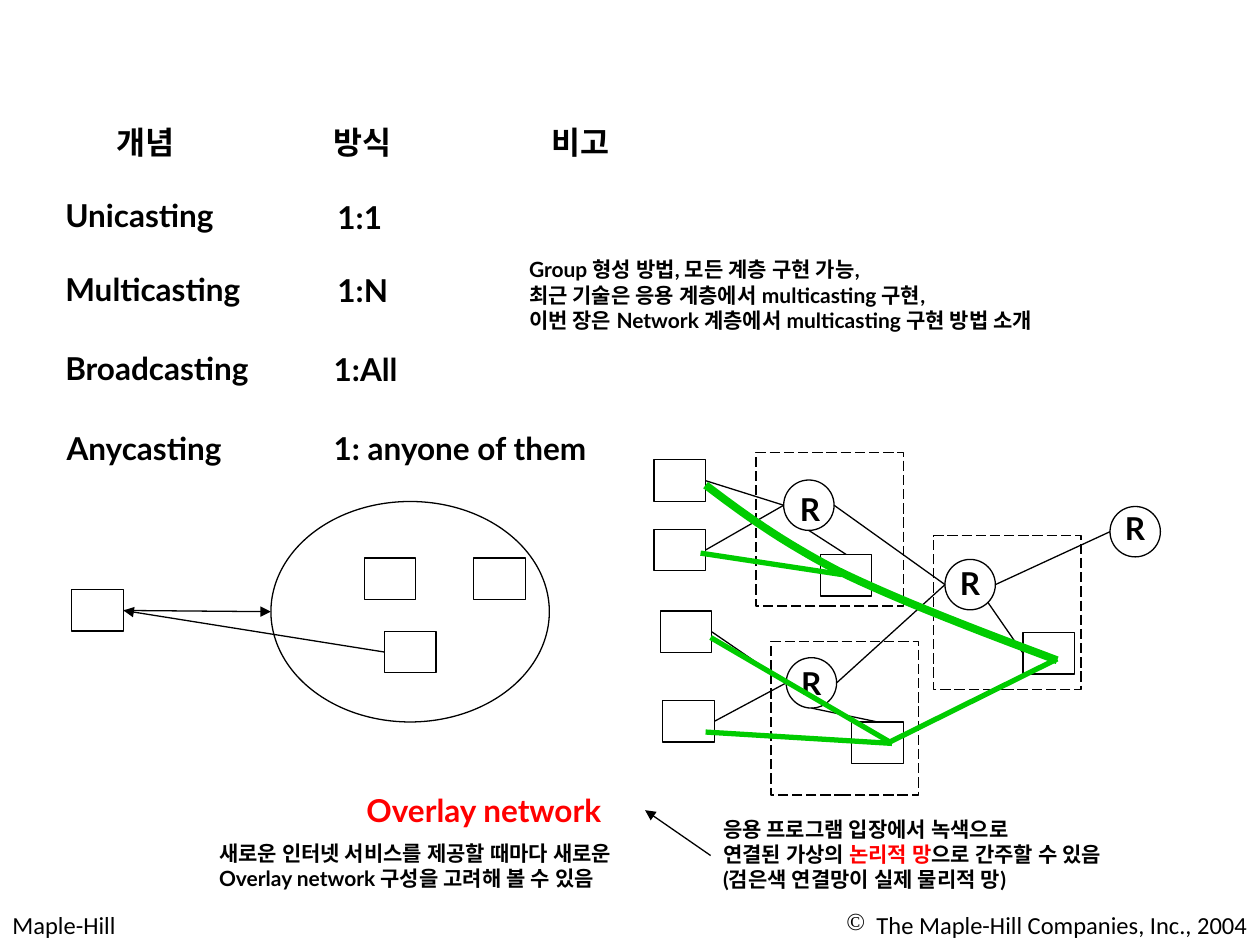
from lxml import etree
from pptx import Presentation
from pptx.dml.color import RGBColor
from pptx.enum.dml import MSO_LINE
from pptx.enum.shapes import MSO_CONNECTOR, MSO_SHAPE
from pptx.enum.text import MSO_AUTO_SIZE, PP_ALIGN
from pptx.oxml.ns import qn
from pptx.util import Cm, Pt

RECTANGLE, OVAL = MSO_SHAPE.RECTANGLE, MSO_SHAPE.OVAL
STRAIGHT, DASH = MSO_CONNECTOR.STRAIGHT, MSO_LINE.LONG_DASH
FIT = MSO_AUTO_SIZE.SHAPE_TO_FIT_TEXT
RIGHT = PP_ALIGN.RIGHT
COLORS = {"black": "000000", "red": "FF0000", "green": "00CC00"}
BODY_FONT, FOOTER_FONT = "Lato", "Calibri"
CM_PER_INCH = 2.54  # positions below are in inches

# Headings and table-like terms: text, left, top, width
TERMS = [
    ("개념", 0.83, 0.93, 0.71), ("방식", 2.55, 0.93, 0.71), ("비고", 4.28, 0.93, 0.71),
    ("Unicasting", 0.42, 1.51, 1.54), ("1:1", 2.58, 1.52, 0.62),
    ("Multicasting", 0.42, 2.09, 1.76), ("1:N", 2.58, 2.1, 0.65),
    ("Broadcasting", 0.42, 2.72, 1.87), ("1:All", 2.55, 2.73, 0.78),
    ("Anycasting", 0.43, 3.36, 1.6), ("1: anyone of them", 2.55, 3.36, 2.51),
]
ROUTER_LABELS = [("R", 6.25, 3.84, 0.39), ("R", 6.26, 5.22, 0.39),
                 ("R", 7.52, 4.43, 0.39), ("R", 8.83, 3.99, 0.39)]

# Notes: place, then lines made of (text, color) runs
NOTES = [
    ((4.1, 1.99, 4.68, 0.71), [
        [("Group 형성 방법, 모든 계층 구현 가능,", "black")],
        [("최근 기술은 응용 계층에서 multicasting 구현,", "black")],
        [("이번 장은 Network 계층에서 multicasting 구현 방법 소개", "black")]]),
    ((5.64, 6.43, 3.53, 0.71), [
        [("응용 프로그램 입장에서 녹색으로", "black")],
        [("연결된 가상의 ", "black"), ("논리적 망", "red"), ("으로 간주할 수 있음", "black")],
        [("(검은색 연결망이 실제 물리적 망)", "black")]]),
    ((1.64, 6.62, 3.64, 0.5), [
        [("새로운 인터넷 서비스를 제공할 때마다 새로운", "black")],
        [("Overlay network 구성을 고려해 볼 수 있음", "black")]]),
]

# Diagram nodes: name -> (left, top)
HOST_SIZE, ROUTER_SIZE, AREA_SIZE = (0.41, 0.33), (0.4, 0.4), (1.17, 1.22)
HOSTS = {
    "client": (0.57, 4.68), "member 1": (2.89, 4.43), "member 2": (3.76, 4.43),
    "member 3": (3.05, 5.01), "host 1": (5.19, 3.65), "host 2": (5.19, 4.2),
    "host 3": (5.24, 4.85), "host 4": (5.26, 5.56), "server 1": (6.51, 4.4),
    "server 2": (6.76, 5.73), "server 3": (8.12, 5.02),
}
ROUTERS = {"router 1": (6.22, 3.81), "router 2": (6.24, 5.22),
           "router 3": (7.5, 4.44), "router 4": (8.81, 4.02)}
AREAS = [(6, 3.59), (6.12, 5.09), (7.41, 4.25)]
GROUP = (2.15, 3.98, 2.21, 1.75)

# Physical links: node, side, node, side, arrowhead at the end
LINKS = [
    ("client", "right", "group", "left", True),
    ("member 3", "left", "client", "right", True),
    ("host 1", "right", "router 1", "left", False),
    ("host 2", "right", "router 1", "left", False),
    ("host 3", "right", "router 2", "left", False),
    ("host 4", "right", "router 2", "left", False),
    ("router 1", "right", "router 3", "left", False),
    ("router 2", "right", "router 3", "left", False),
    ("router 4", "left", "router 3", "right", False),
    ("server 1", "top", "router 1", "bottom", False),
    ("server 2", "top", "router 2", "bottom", False),
    ("server 3", "left", "router 3", "lower right", False),
]
SIDES = {"left": (0, 0.5), "right": (1, 0.5), "top": (0.5, 0),
         "bottom": (0.5, 1), "lower right": (0.85, 0.85)}

# Overlay links: one curve of two cubic pieces, and straight lines
CURVE = [((8.39, 5.24), (7.75, 5), (7.12, 4.76), (6.65, 4.53)),
         ((6.65, 4.53), (6.19, 4.29), (5.89, 4.07), (5.6, 3.85))]
OVERLAY_LINES = [[(6.68, 4.56), (5.56, 4.39)], [(7.08, 5.9), (5.64, 5.06)],
                 [(7.08, 5.9), (5.6, 5.81)], [(8.39, 5.23), (7.04, 5.9)]]


def length(inches):
    return Cm(inches * CM_PER_INCH)


def style_line(shape, color="black", width=0.75):
    shape.line.color.rgb = RGBColor.from_string(COLORS[color])
    shape.line.width = Pt(width)


def add_text(slide, place, lines, size, font=BODY_FONT, bold=True, wrap=False):
    box = slide.shapes.add_textbox(*map(length, place))
    frame = box.text_frame
    frame.text = "\n".join("" for _ in lines)
    frame.word_wrap, frame.auto_size = wrap, FIT
    for paragraph, pieces in zip(frame.paragraphs, lines):
        for text, color in pieces:
            run = paragraph.add_run()
            run.text = text
            run.font.name, run.font.size, run.font.bold = font, Pt(size), bold
            run.font.color.rgb = RGBColor.from_string(COLORS[color])
            etree.SubElement(run.font._element, qn("a:ea"), typeface=font)
    return frame


def add_outline(slide, kind, place):
    shape = slide.shapes.add_shape(kind, *map(length, place))
    shape.shadow.inherit = False
    shape.fill.background()
    style_line(shape)
    return shape


def add_line(slide, start, end, arrow):
    line = slide.shapes.add_connector(STRAIGHT, *map(length, (*start, *end)))
    style_line(line)
    if arrow:
        etree.SubElement(line.line._get_or_add_ln(), qn("a:tailEnd"), type="triangle")
    etree.SubElement(line._element.spPr, qn("a:effectLst"))


def add_overlay(slide, points, width):
    points = [tuple(map(length, point)) for point in points]
    builder = slide.shapes.build_freeform(*points[0])
    builder.add_line_segments(points[1:], close=False)
    shape = builder.convert_to_shape()
    shape.shadow.inherit = False
    shape.fill.background()
    style_line(shape, "green", width)


def curve_points(pieces, steps=16):
    points = [pieces[0][0]]
    for piece in pieces:
        for step in range(1, steps + 1):
            t = step / steps
            weights = ((1 - t) ** 3, 3 * t * (1 - t) ** 2, 3 * t * t * (1 - t), t ** 3)
            points.append(tuple(sum(w * p[axis] for w, p in zip(weights, piece))
                                for axis in (0, 1)))
    return points


def main():
    presentation = Presentation()
    presentation.slide_width, presentation.slide_height = length(10), length(7.5)
    slide = presentation.slides.add_slide(presentation.slide_layouts[6])

    # Footer
    add_text(slide, (0, 7.17, 2.42, 0.33), [[("Maple-Hill", "black")]],
             14, FOOTER_FONT, False, True)
    credit = add_text(slide, (5, 7.17, 5, 0.33),
                      [[("The Maple-Hill Companies, Inc., 2004", "black")]],
                      14, FOOTER_FONT, False, True).paragraphs[0]
    credit.alignment = RIGHT
    properties = credit._p.get_or_add_pPr()
    properties.set("marL", str(length(0.24)))
    properties.set("indent", str(-length(0.24)))
    etree.SubElement(properties, qn("a:buChar"), char="©")

    # Terms and notes
    for text, left, top, width in TERMS:
        add_text(slide, (left, top, width, 0.4), [[(text, "black")]], 18)
    for place, lines in NOTES:
        add_text(slide, place, lines, 12)
    add_text(slide, (2.81, 6.23, 2.31, 0.4), [[("Overlay network", "red")]], 18)
    add_line(slide, (5.64, 6.79), (5.12, 6.43), True)

    # Nodes and areas
    places = {"group": GROUP}
    places.update({name: (*corner, *HOST_SIZE) for name, corner in HOSTS.items()})
    places.update({name: (*corner, *ROUTER_SIZE) for name, corner in ROUTERS.items()})
    for name, place in places.items():
        add_outline(slide, RECTANGLE if name in HOSTS else OVAL, place)
    for corner in AREAS:
        add_outline(slide, RECTANGLE, (*corner, *AREA_SIZE)).line.dash_style = DASH
    for text, left, top, width in ROUTER_LABELS:
        add_text(slide, (left, top, width, 0.4), [[(text, "black")]], 18)

    # Physical links
    def anchor(name, side):
        left, top, width, height = places[name]
        across, down = SIDES[side]
        return left + across * width, top + down * height

    for first, first_side, second, second_side, arrow in LINKS:
        add_line(slide, anchor(first, first_side), anchor(second, second_side), arrow)

    # Overlay links
    add_overlay(slide, curve_points(CURVE), 4.5)
    for points in OVERLAY_LINES:
        add_overlay(slide, points, 3)

    presentation.save("out.pptx")


if __name__ == "__main__":
    main()
